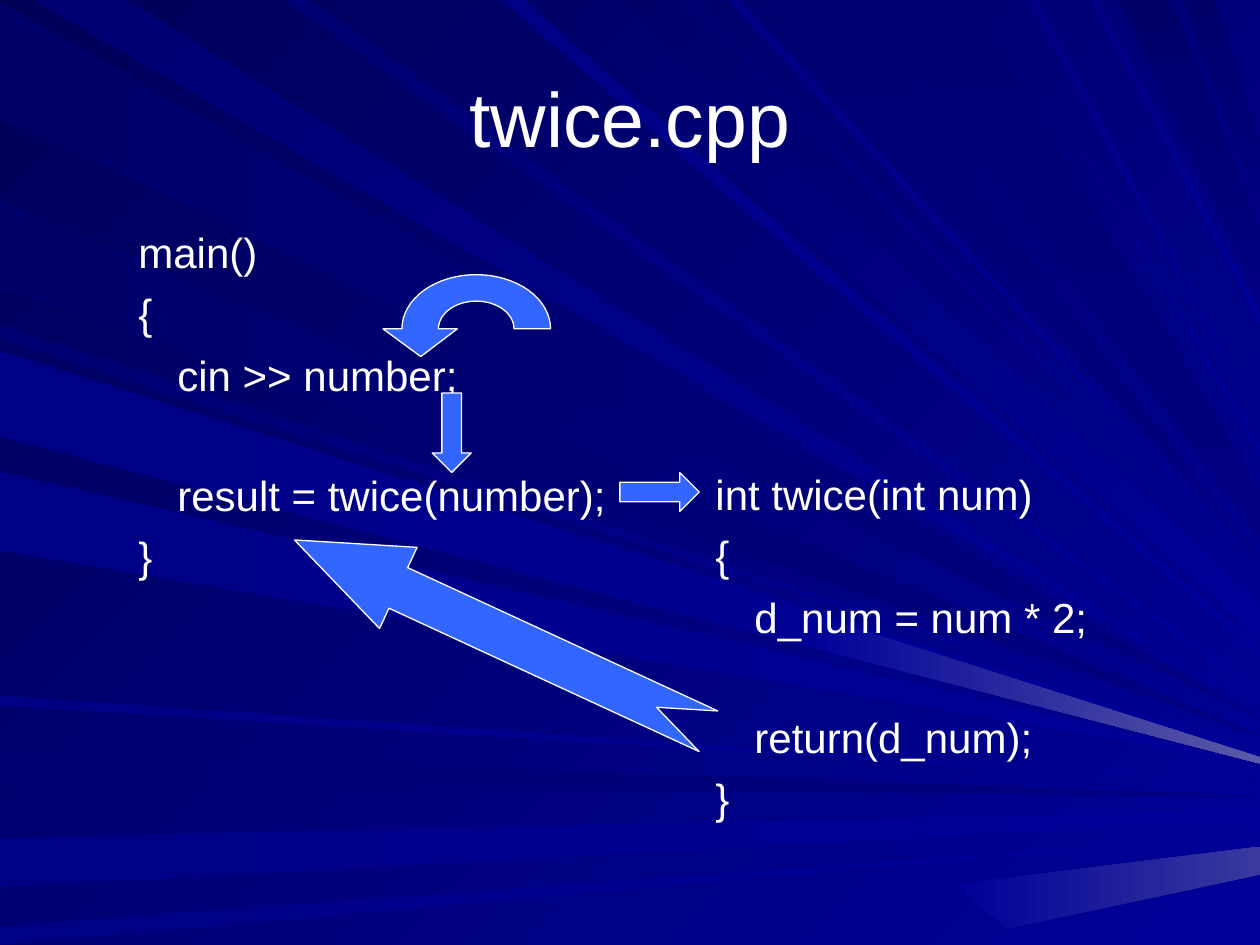
from dataclasses import dataclass
from math import cos, pi, sin

from pptx import Presentation
from pptx.dml.color import RGBColor
from pptx.dml.fill import FillFormat
from pptx.enum.shapes import MSO_SHAPE as Preset
from pptx.enum.text import MSO_ANCHOR as Anchor, PP_ALIGN as Align
from pptx.shapes.autoshape import Shape
from pptx.slide import Slide
from pptx.text.text import _Paragraph as Paragraph
from pptx.util import Inches, Pt

COLORS = {
    "text": "FFFFFF", "arrow": "3366FF", "night": "000058", "deep": "00006B", "dim": "000073",
    "soft": "000085", "mid": "000080", "bright": "000099", "glow": "5A5AA6", "haze": "39399E",
}
WIDTH, HEIGHT = 10, 7.5
LINE_GAP, BLANK_LINE = 6.2, 33.8
Point = tuple[float, float]


@dataclass
class Ray:
    """A beam from a span of the left or top edge to a height on the right edge."""
    near: float
    far: float
    target: float
    start: str
    end: str = "bright"
    spread: float = 0


@dataclass
class CodeLine:
    text: str
    blank_before: bool = False


@dataclass
class CodeBlock:
    box: tuple[float, float, float, float]
    lines: list[CodeLine]


@dataclass
class Arrow:
    preset: Preset
    box: tuple[float, float, float, float]
    head: float = 0.5
    rotation: float = 0
    flipped: bool = False


LEFT_RAYS = [
    Ray(0.02, 0.93, 5.7, "deep", "mid"),
    Ray(5.96, 6.23, 6.32, "dim", "mid"),
    Ray(6.65, 7.04, 6.47, "soft", spread=0.08),
    Ray(7.35, 7.5, 6.62, "soft"),
    Ray(2.58, 2.7, 5.88, "dim"),
    Ray(1.59, 2.28, 5.84, "deep", "mid"),
    Ray(2.78, 3.42, 6, "soft", spread=0.06),
    Ray(3.74, 4.37, 6.06, "soft"),
    Ray(5.52, 5.6, 6.22, "soft"),
    Ray(2.83, 3.47, 6.04, "soft", spread=0.05),
]
TOP_RAYS = [
    Ray(0.26, 1.01, 5.63, "dim"),
    Ray(3.98, 4.16, 5.18, "soft", spread=0.06),
    Ray(4.26, 4.92, 4.93, "deep", spread=0.28),
    Ray(5.4, 5.52, 4.63, "dim"),
    Ray(6.06, 6.61, 4.46, "dim", "mid"),
    Ray(8.87, 9.3, 2.1, "deep", "mid", 0.54),
    Ray(9.39, 9.64, 1.4, "deep", "mid", 0.53),
    Ray(2.25, 2.47, 5.5, "dim", spread=0.05),
    Ray(5.77, 5.88, 4.54, "soft"),
    Ray(6.86, 7.7, 4.09, "dim", "mid", 0.38),
    Ray(7.85, 7.92, 3.57, "dim", spread=0.06),
    Ray(8.15, 8.24, 3.36, "soft"),
    Ray(8.65, 8.72, 2.54, "soft", spread=0.09),
]
HIGHLIGHTS = {
    "glow": [(6.37, 4.85), (10, 6.01), (10, 6.06), (6.33, 5.11)],
    "haze": [(10, 6.94), (10, 6.72), (7.56, 7.02), (8, 7.37)],
}

CODE_BLOCKS = [
    CodeBlock((0.5, 1.75, 4.66, 2.94), [
        CodeLine("main()"), CodeLine("{"), CodeLine("\tcin >> number;"),
        CodeLine("\tresult = twice(number);", True), CodeLine("}")]),
    CodeBlock((5.08, 3.67, 3.86, 2.63), [
        CodeLine("int twice(int num)"), CodeLine("{"), CodeLine("\td_num = num * 2;"),
        CodeLine("\treturn(d_num);", True), CodeLine("}")]),
]

ARROWS = [
    Arrow(Preset.DOWN_ARROW, (3.43, 3.12, 0.31, 0.63)),
    Arrow(Preset.RIGHT_ARROW, (4.92, 3.75, 0.63, 0.31)),
    Arrow(Preset.NOTCHED_RIGHT_ARROW, (2.17, 4.69, 3.62, 0.71), 1.28, 24.8, True),
]


def rgb(name: str) -> RGBColor:
    return RGBColor.from_string(COLORS[name])


def set_gradient(fill: FillFormat, start: str, end: str, angle: int = 0) -> None:
    """Fill with a two-colour gradient turned clockwise by the angle."""
    fill.gradient()
    fill.gradient_angle = 360 - angle
    for stop, color in zip(fill.gradient_stops, (start, end)):
        stop.color.rgb = rgb(color)


def add_polygon(shapes, points: list[Point]) -> Shape:
    corners = [(Inches(x), Inches(y)) for x, y in points]
    builder = shapes.build_freeform(*corners[0])
    builder.add_line_segments(corners[1:], close=True)
    shape = builder.convert_to_shape()
    shape.shadow.inherit = False
    return shape


def add_beam(shapes, points: list[Point], start: str, end: str, angle: int) -> None:
    shape = add_polygon(shapes, points)
    set_gradient(shape.fill, start, end, angle)
    shape.line.fill.background()


def add_rays(slide: Slide) -> None:
    shapes = slide.shapes.add_group_shape().shapes
    for rays, from_top in ((LEFT_RAYS, False), (TOP_RAYS, True)):
        for ray in rays:
            edge = [(ray.far, 0), (ray.near, 0)] if from_top else [(0, ray.near), (0, ray.far)]
            tip = [(WIDTH, ray.target + ray.spread / 2), (WIDTH, ray.target - ray.spread / 2)]
            angle = 0 if not from_top else 90 if ray.end == "mid" else 45
            add_beam(shapes, edge + tip, ray.start, ray.end, angle)
    for color, points in HIGHLIGHTS.items():
        add_beam(shapes, points, "bright", color, 0)


def write_text(paragraph: Paragraph, text: str, size: float) -> None:
    run = paragraph.add_run()
    run.text = text
    for name, value in {"name": "Arial", "size": Pt(size)}.items():
        setattr(run.font, name, value)
    run.font.color.rgb = rgb("text")


def add_title(slide: Slide, text: str) -> None:
    frame = slide.shapes.add_textbox(Inches(0.5), Inches(0.3), Inches(9), Inches(1.25)).text_frame
    frame.word_wrap = True
    frame.vertical_anchor = Anchor.MIDDLE
    frame.paragraphs[0].alignment = Align.CENTER
    write_text(frame.paragraphs[0], text, 44)


def add_code(slide: Slide, block: CodeBlock) -> None:
    frame = slide.shapes.add_textbox(*map(Inches, block.box)).text_frame
    frame.word_wrap = True
    for index, line in enumerate(block.lines):
        paragraph = frame.add_paragraph() if index else frame.paragraphs[0]
        paragraph.level = 1
        properties = paragraph._p.get_or_add_pPr()
        for name, value in {"marL": 0.81, "indent": -0.31}.items():
            properties.set(name, str(Inches(value)))
        if index:
            paragraph.space_before = Pt(LINE_GAP + BLANK_LINE * line.blank_before)
        write_text(paragraph, line.text, 24)


def style_arrow(shape: Shape) -> None:
    shape.shadow.inherit = False
    shape.fill.solid()
    shape.fill.fore_color.rgb = rgb("arrow")
    shape.line.color.rgb = rgb("text")
    shape.line.width = Pt(0.75)


def add_arrow(slide: Slide, arrow: Arrow) -> None:
    shape = slide.shapes.add_shape(arrow.preset, *map(Inches, arrow.box))
    shape.adjustments[0] = 0.5
    shape.adjustments[1] = arrow.head
    shape.rotation = arrow.rotation
    if arrow.flipped:
        shape._element.spPr.xfrm.set("flipH", "1")
    style_arrow(shape)


def half_ellipse(radius_x: float, radius_y: float, steps: int = 32) -> list[Point]:
    """Points of an upper half ellipse, from left to right."""
    angles = [pi * (1 - step / steps) for step in range(steps + 1)]
    return [(3.78 + radius_x * cos(angle), 2.61 - radius_y * sin(angle)) for angle in angles]


def add_curved_arrow(slide: Slide) -> None:
    inner, outer = half_ellipse(0.3, 0.22), half_ellipse(0.59, 0.43)
    head = [(3.04, 2.61), (3.34, 2.83), (3.63, 2.61)]
    style_arrow(add_polygon(slide.shapes, inner + outer[::-1] + head))


def main() -> None:
    presentation = Presentation()
    presentation.slide_width, presentation.slide_height = Inches(WIDTH), Inches(HEIGHT)
    slide = presentation.slides.add_slide(presentation.slide_layouts[6])
    set_gradient(slide.background.fill, "night", "bright", 45)
    add_rays(slide)
    add_title(slide, "twice.cpp")
    for block in CODE_BLOCKS:
        add_code(slide, block)
    add_curved_arrow(slide)
    for arrow in ARROWS:
        add_arrow(slide, arrow)
    presentation.save("out.pptx")


if __name__ == "__main__":
    main()
